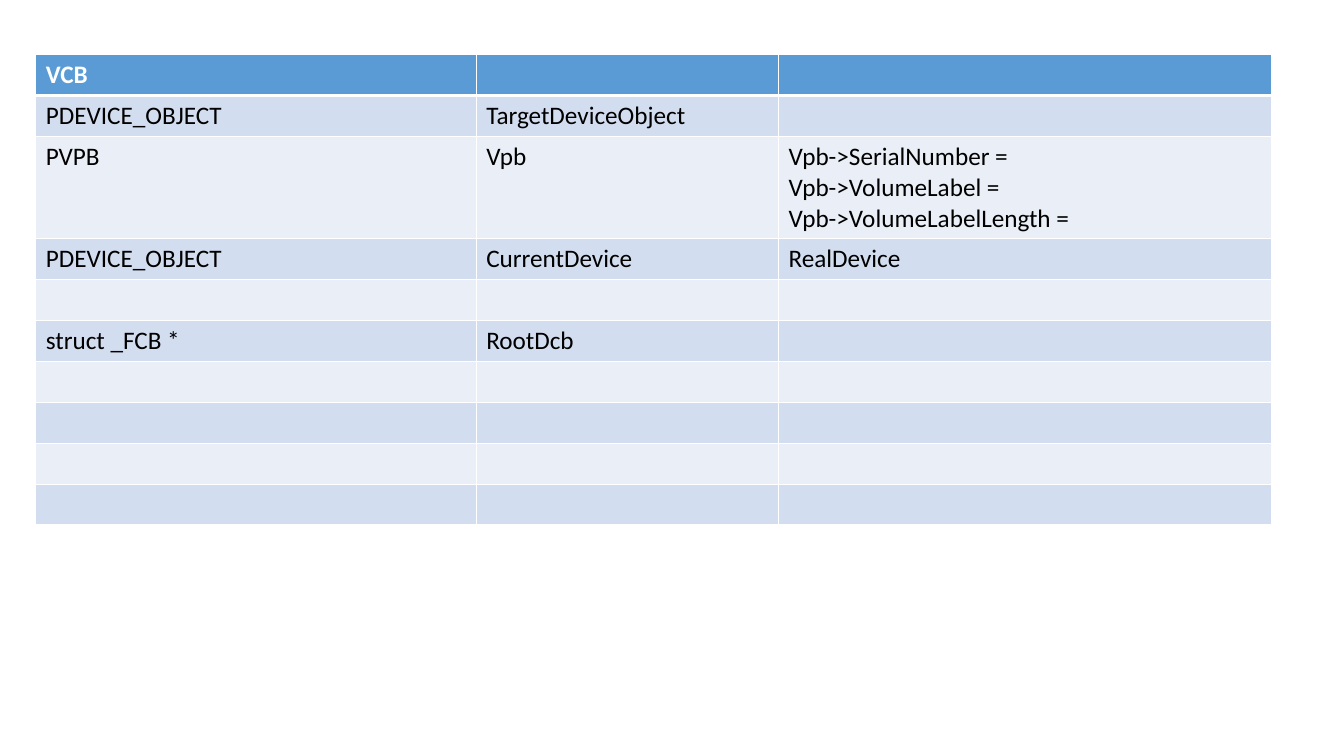
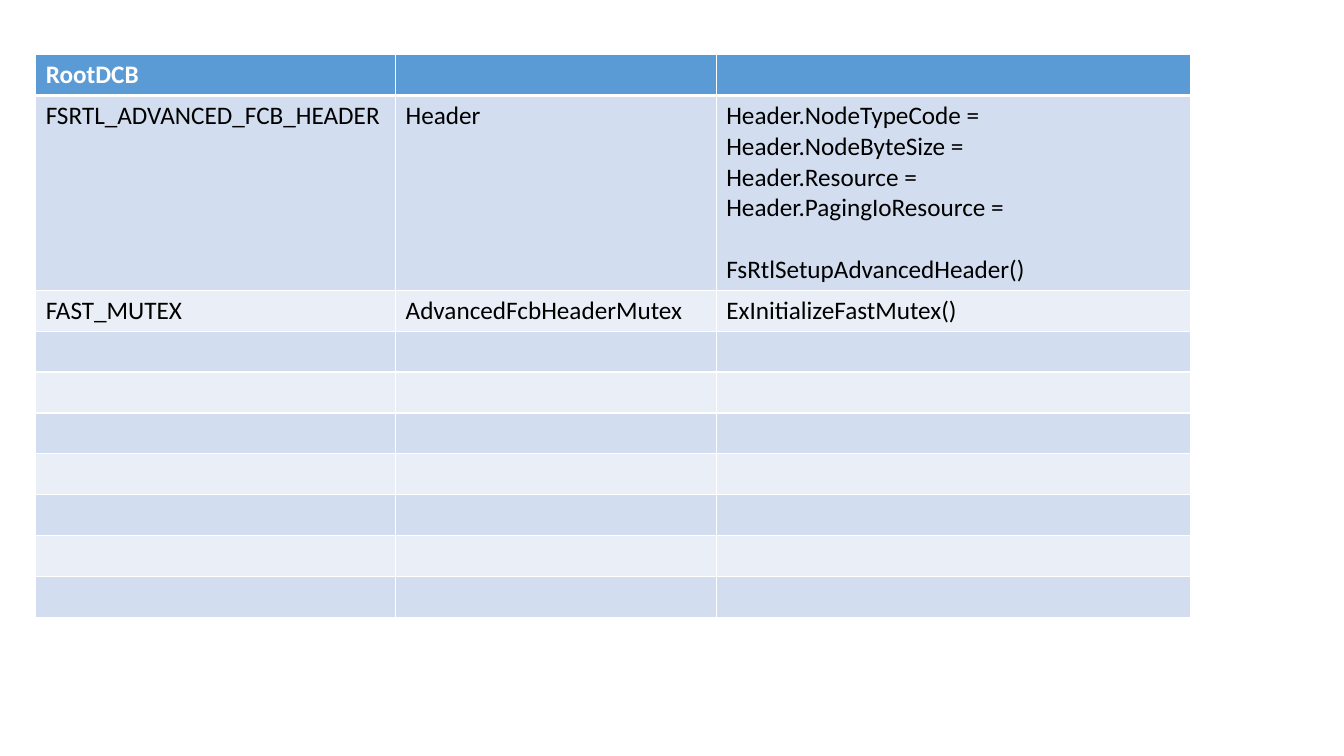
from lxml.etree import SubElement
from pptx import Presentation
from pptx.dml.color import RGBColor
from pptx.oxml.ns import qn
from pptx.util import Cm, Pt

STRUCTS = [
    {
        "widths": (11.1, 7.62, 12.42),
        "rows": [
            ("VCB",),
            ("PDEVICE_OBJECT", "TargetDeviceObject"),
            ("PVPB", "Vpb", "Vpb->SerialNumber = \nVpb->VolumeLabel = \n"
                            "Vpb->VolumeLabelLength = "),
            ("PDEVICE_OBJECT", "CurrentDevice", "RealDevice"),
            (),
            ("struct _FCB *", "RootDcb"),
        ],
    },
    {
        "widths": (9.07, 8.08, 11.96),
        "rows": [
            ("RootDCB",),
            ("FSRTL_ADVANCED_FCB_HEADER", "Header",
             "Header.NodeTypeCode = \nHeader.NodeByteSize = \n"
             "Header.Resource = \nHeader.PagingIoResource = \n"
             "FsRtlSetupAdvancedHeader()"),
            ("FAST_MUTEX", "AdvancedFcbHeaderMutex", "ExInitializeFastMutex()"),
        ],
    },
]
SPACED_LINE = "FsRtlSetupAdvancedHeader()"
ROW_COUNT = 10
LEFT, TOP, ROW_HEIGHT = Cm(0.9), Cm(1.38), Cm(1.03)
FONT, SIZE = "Calibri", Pt(18)

WHITE = RGBColor(0xFF, 0xFF, 0xFF)
BLACK = RGBColor(0x00, 0x00, 0x00)
HEADER = RGBColor(0x5B, 0x9B, 0xD5)
BANDS = (RGBColor(0xEA, 0xEF, 0xF7), RGBColor(0xD2, 0xDE, 0xEF))


def add_borders(cell, row):
    """Draw white cell borders, thicker beneath the header."""
    tcPr = cell._tc.get_or_add_tcPr()
    widths = {"lnL": 1, "lnR": 1, "lnT": 3 if row == 1 else 1,
              "lnB": 3 if row == 0 else 1}
    for side, width in widths.items():
        ln = SubElement(tcPr, qn(f"a:{side}"), w=str(Pt(width)))
        fill = SubElement(ln, qn("a:solidFill"))
        SubElement(fill, qn("a:srgbClr"), val=str(WHITE))


def fill_cell(cell, text, row):
    """Write and format one cell."""
    add_borders(cell, row)
    cell.fill.solid()
    cell.fill.fore_color.rgb = BANDS[row % 2] if row else HEADER
    cell.text = text
    for p in cell.text_frame.paragraphs:
        p.font.name, p.font.size = FONT, SIZE
        p.font.bold = row == 0
        p.font.color.rgb = BLACK if row else WHITE
        if p.text == SPACED_LINE:
            p.space_before = Pt(22)


def add_struct(prs, widths, rows):
    """Add a slide with the table of one structure."""
    s = prs.slides.add_slide(prs.slide_layouts[6])
    table = s.shapes.add_table(ROW_COUNT, len(widths), LEFT, TOP,
                               Cm(sum(widths)), ROW_HEIGHT * ROW_COUNT).table
    for column, width in zip(table.columns, widths):
        column.width = Cm(width)
    for i in range(ROW_COUNT):
        texts = rows[i] if i < len(rows) else ()
        for j in range(len(widths)):
            fill_cell(table.cell(i, j), texts[j] if j < len(texts) else "", i)


prs = Presentation()
prs.slide_width, prs.slide_height = Cm(33.87), Cm(19.05)
for struct in STRUCTS:
    add_struct(prs, **struct)
prs.save("out.pptx")
